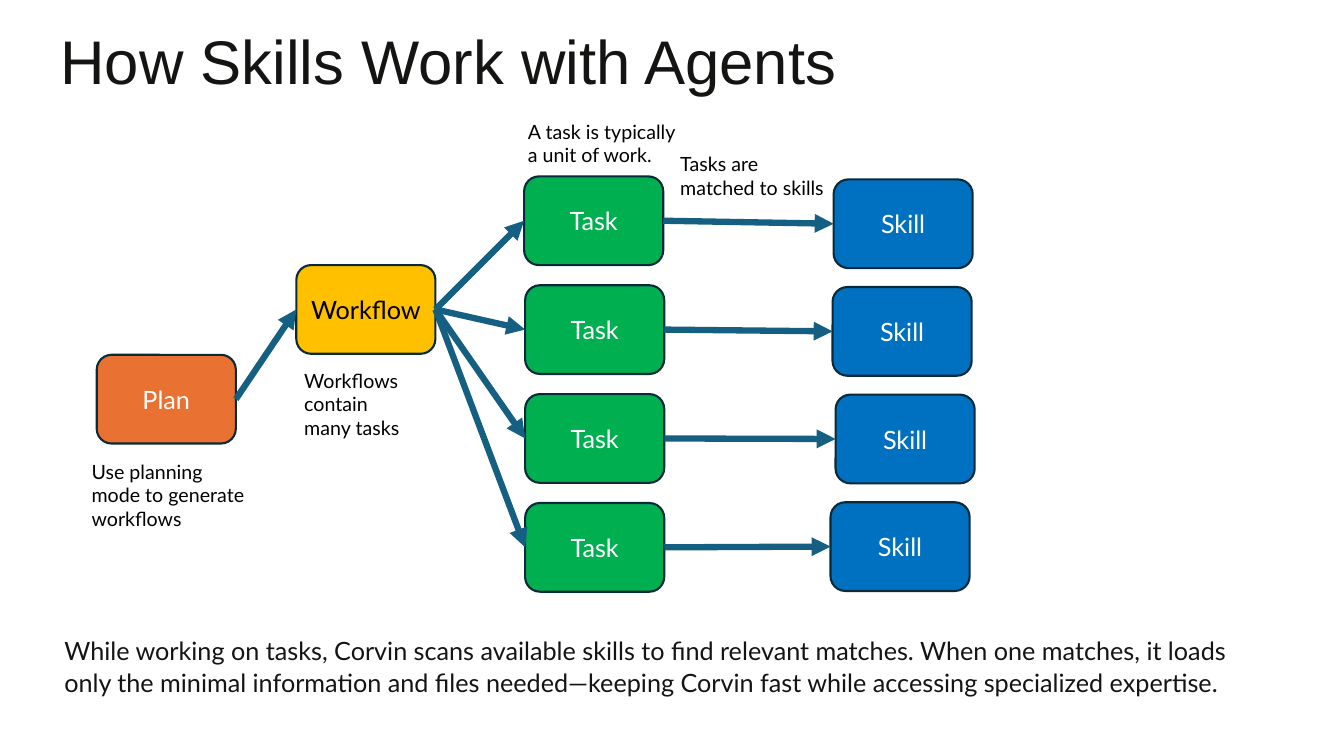
import pptx
import pptx.dml.color
import pptx.enum.shapes
import pptx.enum.text
import pptx.oxml
import pptx.oxml.ns
import pptx.util

RGBColor = pptx.dml.color.RGBColor
INK = RGBColor(0x14, 0x14, 0x13)
BLACK = RGBColor(0, 0, 0)
WHITE = RGBColor(0xFF, 0xFF, 0xFF)
ORANGE = RGBColor(0xE9, 0x71, 0x32)
AMBER = RGBColor(0xFF, 0xC0, 0x00)
GREEN = RGBColor(0x00, 0xB0, 0x50)
BLUE = RGBColor(0x00, 0x70, 0xC0)
OUTLINE = RGBColor(0x09, 0x2A, 0x39)
ARROW = RGBColor(0x15, 0x60, 0x82)

COLUMNS, ROWS = 40, 30
BOX_COLUMNS, BOX_ROWS = 4.14, 3.52
LEFT_SITE, RIGHT_SITE = 1, 3
ANCHOR = pptx.enum.text.MSO_ANCHOR


class FlowSlide:
    """Draws on one slide; places are columns and rows of a 40 by 30 grid."""

    def __init__(self, presentation):
        self.slide = presentation.slides.add_slide(presentation.slide_layouts[6])
        self.column = presentation.slide_width / COLUMNS
        self.row = presentation.slide_height / ROWS

    def grid(self, left, top, width, height):
        return (round(left * self.column), round(top * self.row),
                round(width * self.column), round(height * self.row))

    def style(self, text_frame, size, color, font="Lato", spacing=None, alignment=None):
        for paragraph in text_frame.paragraphs:
            paragraph.alignment = alignment
            if spacing:
                paragraph.line_spacing = pptx.util.Pt(spacing)
            for run in paragraph.runs:
                run.font.name = font
                run.font.size = pptx.util.Pt(size)
                run.font.color.rgb = color

    def text(self, words, place, size=14, color=BLACK, anchor=ANCHOR.TOP, **style):
        text_frame = self.slide.shapes.add_textbox(*self.grid(*place)).text_frame
        text_frame.word_wrap = True
        text_frame.vertical_anchor = anchor
        text_frame.text = words
        self.style(text_frame, size, color, **style)

    def box(self, label, left, top, fill, color=WHITE):
        shape = self.slide.shapes.add_shape(
            pptx.enum.shapes.MSO_SHAPE.ROUNDED_RECTANGLE,
            *self.grid(left, top, BOX_COLUMNS, BOX_ROWS))
        shape.shadow.inherit = False
        shape.fill.solid()
        shape.fill.fore_color.rgb = fill
        shape.line.color.rgb = OUTLINE
        shape.line.width = pptx.util.Pt(1.5)
        shape.text_frame.text = label
        shape.text_frame.vertical_anchor = ANCHOR.MIDDLE
        self.style(shape.text_frame, 18, color, alignment=pptx.enum.text.PP_ALIGN.CENTER)
        return shape

    def arrow(self, source, target):
        """Joins the right side of one box to the left side of the next."""
        connector = self.slide.shapes.add_connector(
            pptx.enum.shapes.MSO_CONNECTOR.STRAIGHT, 0, 0, 0, 0)
        connector.begin_connect(source, RIGHT_SITE)
        connector.end_connect(target, LEFT_SITE)
        connector.line.color.rgb = ARROW
        connector.line.width = pptx.util.Pt(4.5)
        namespace = pptx.oxml.ns.nsdecls("a")
        connector.line._get_or_add_ln().append(
            pptx.oxml.parse_xml(f'<a:tailEnd {namespace} type="triangle"/>'))
        connector._element.spPr.append(
            pptx.oxml.parse_xml(f"<a:effectLst {namespace}/>"))


def main():
    presentation = pptx.Presentation()
    presentation.slide_width = pptx.util.Inches(13.33)
    presentation.slide_height = pptx.util.Inches(7.5)
    flow = FlowSlide(presentation)

    flow.text("How Skills Work with Agents", (1.5, 1.24, 34.5, 4), 44, INK,
              ANCHOR.MIDDLE, font="Arial", spacing=22.4)
    flow.text("While working on tasks, Corvin scans available skills to find relevant "
              "matches. When one matches, it loads only the minimal information and files "
              "needed—keeping Corvin fast while accessing specialized expertise.",
              (1.62, 24.92, 35.6, 2.92), 18, INK, spacing=23.2)

    plan = flow.box("Plan", 2.88, 14.08, ORANGE)
    workflow = flow.box("Workflow", 8.82, 10.52, AMBER, BLACK)
    flow.arrow(plan, workflow)
    lanes = [(15.6, 24.81), (15.63, 24.78), (15.63, 24.87), (15.63, 24.72)]
    for lane, (task_left, skill_left) in enumerate(lanes):
        task = flow.box("Task", task_left, 7 + 4.32 * lane, GREEN)
        skill = flow.box("Skill", skill_left, 7.12 + 4.27 * lane, BLUE)
        flow.arrow(workflow, task)
        flow.arrow(task, skill)

    captions = [
        ("Use planning mode to generate workflows", (2.43, 18.04, 5.31, 3.24)),
        ("Workflows\ncontain many tasks", (8.76, 14.44, 4, 3.24)),
        ("A task is typically a unit of work.", (15.42, 4.56, 5.07, 2.28)),
        ("Tasks are matched to skills", (19.95, 5.84, 5.07, 2.28)),
    ]
    for words, place in captions:
        flow.text(words, place)

    presentation.save("out.pptx")


if __name__ == "__main__":
    main()
